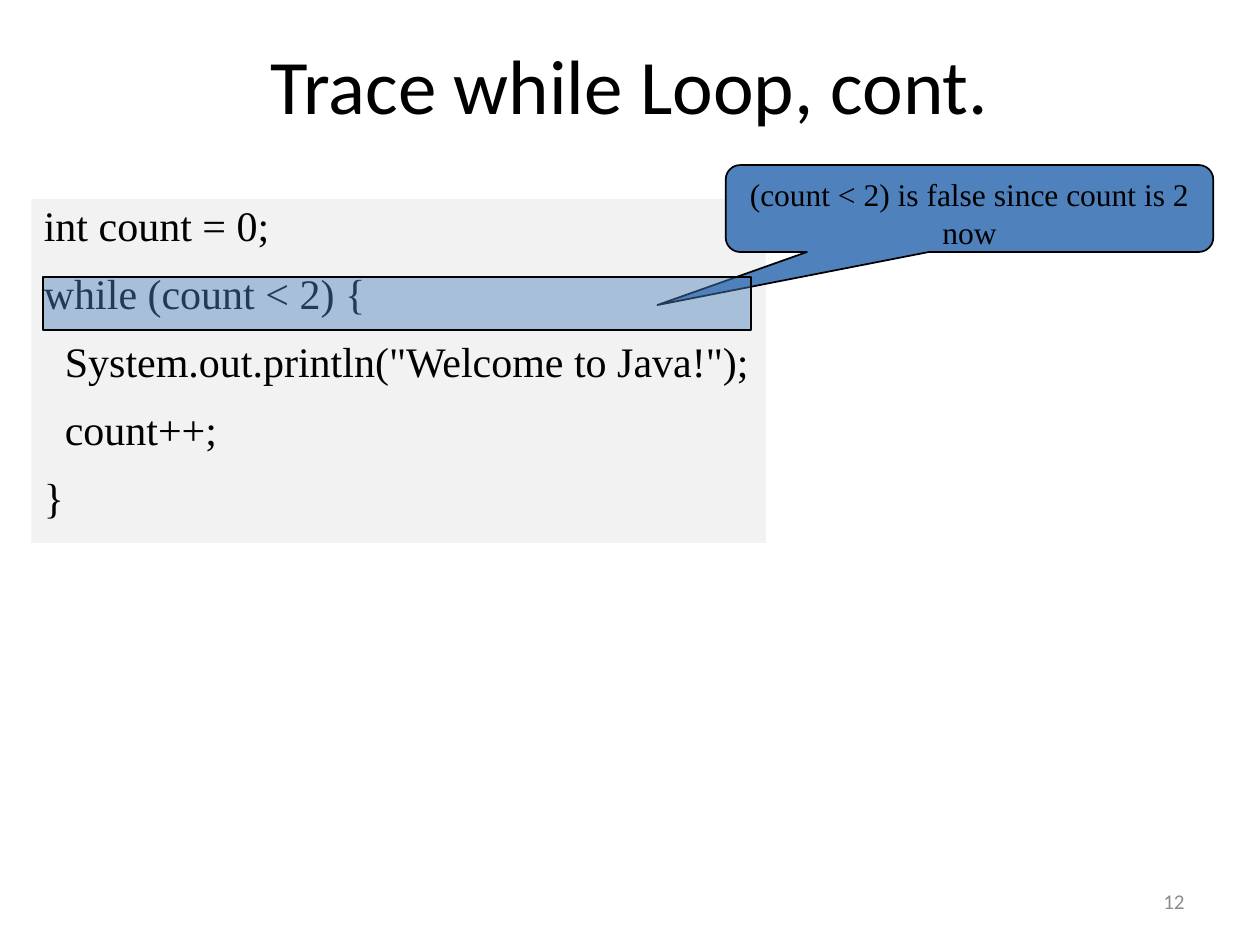
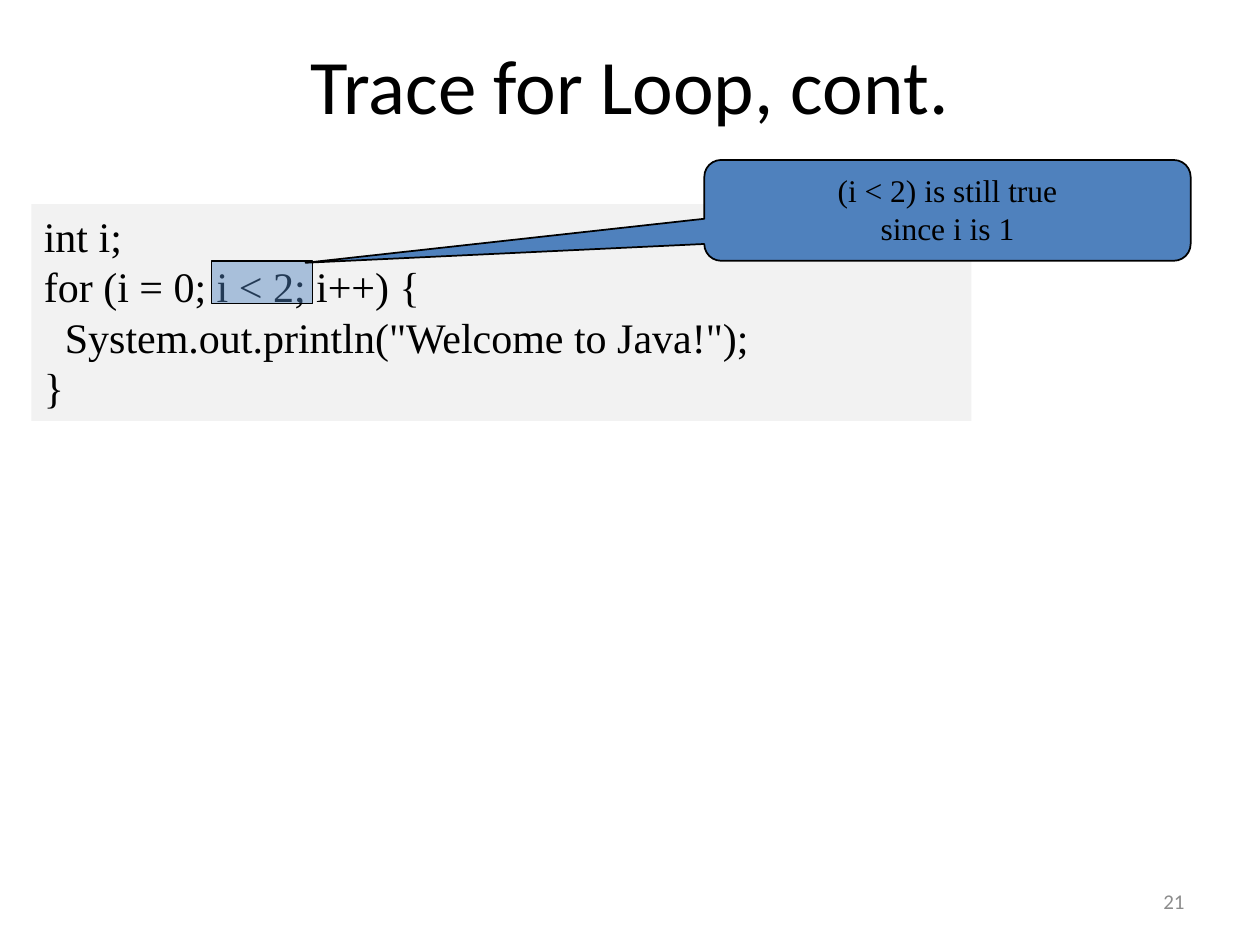
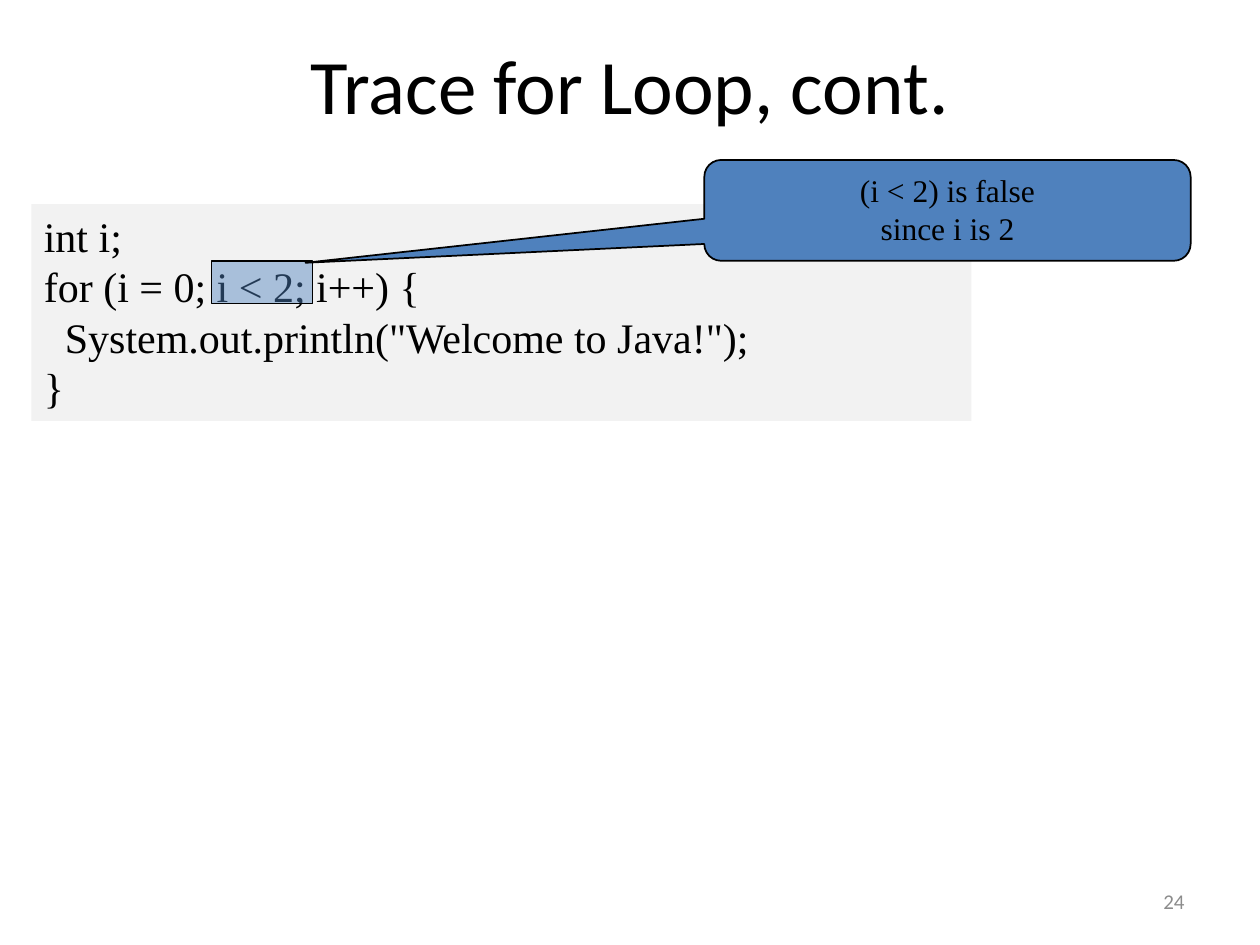
from lxml import etree
from pptx import Presentation
from pptx.dml.color import RGBColor
from pptx.enum.shapes import MSO_SHAPE
from pptx.enum.text import MSO_ANCHOR, PP_ALIGN
from pptx.oxml.ns import qn
from pptx.util import Inches, Pt

RECTANGLE = MSO_SHAPE.RECTANGLE
CALLOUT = MSO_SHAPE.ROUNDED_RECTANGULAR_CALLOUT
TOP, MIDDLE = MSO_ANCHOR.TOP, MSO_ANCHOR.MIDDLE
LEFT, CENTER, RIGHT = PP_ALIGN.LEFT, PP_ALIGN.CENTER, PP_ALIGN.RIGHT

COLORS = {"ink": "000000", "code": "F2F2F2", "accent": "4F81BD", "number": "8C8C8C"}
HEADING_FONT = "Calibri"
BODY_FONT = "Times New Roman"
TITLE_ONLY = 5

WHILE_CODE = [
    "int count = 0;",
    "while (count < 2) {",
    '  System.out.println("Welcome to Java!");',
    "  count++;",
    "}",
]
FOR_CODE = [
    "int i;",
    "for (i = 0; i < 2; i++) {",
    '  System.out.println("Welcome to Java!");',
    "}",
]


def color(name):
    return RGBColor.from_string(COLORS[name])


class TraceDeck:
    def __init__(self):
        self.presentation = Presentation()
        self.presentation.slide_width = Inches(10)
        self.presentation.slide_height = Inches(7.5)
        self.slide = None

    def set_text(self, shape, lines, font, size, ink, alignment, anchor):
        text_frame = shape.text_frame
        text_frame.text = "\n".join(lines)
        text_frame.word_wrap = True
        text_frame.vertical_anchor = anchor
        for paragraph in text_frame.paragraphs:
            paragraph.alignment = alignment
            for run in paragraph.runs:
                run.font.name = font
                run.font.size = Pt(size)
                run.font.color.rgb = color(ink)

    def add_slide(self, title, number):
        layout = self.presentation.slide_layouts[TITLE_ONLY]
        self.slide = self.presentation.slides.add_slide(layout)
        heading = self.slide.shapes.title
        heading.left, heading.top = Inches(0.75), Inches(0.25)
        heading.width, heading.height = Inches(8.5), Inches(0.83)
        self.set_text(heading, [title], HEADING_FONT, 44, "ink", CENTER, MIDDLE)
        footer = self.slide.shapes.add_textbox(
            Inches(7.17), Inches(6.95), Inches(2.33), Inches(0.4)
        )
        self.set_text(footer, [str(number)], HEADING_FONT, 12, "number", RIGHT, MIDDLE)

    def add_box(self, kind, bounds, fill, outlined):
        shape = self.slide.shapes.add_shape(kind, *map(Inches, bounds))
        shape.shadow.inherit = False
        shape.fill.solid()
        shape.fill.fore_color.rgb = color(fill)
        if outlined:
            shape.line.color.rgb = color("ink")
            shape.line.width = Pt(1)
        else:
            shape.line.fill.background()
        return shape

    def add_code(self, bounds, lines, line_spacing=1.0, gap=0):
        shape = self.add_box(RECTANGLE, bounds, "code", False)
        self.set_text(shape, lines, BODY_FONT, 24, "ink", LEFT, TOP)
        for index, paragraph in enumerate(shape.text_frame.paragraphs):
            paragraph.line_spacing = line_spacing
            paragraph.space_before = Pt(gap if index else 0)

    def add_highlight(self, bounds):
        shape = self.add_box(RECTANGLE, bounds, "accent", True)
        fill_color = shape.element.spPr.find(qn("a:solidFill"))[0]
        etree.SubElement(fill_color, qn("a:alpha")).set("val", "45000")

    def add_callout(self, bounds, pointer, lines):
        shape = self.add_box(CALLOUT, bounds, "accent", True)
        shape.adjustments[0], shape.adjustments[1] = pointer
        self.set_text(shape, lines, BODY_FONT, 18, "ink", CENTER, TOP)


def add_while_slide(deck):
    deck.add_slide("Trace while Loop, cont.", 12)
    deck.add_code((0.25, 1.58, 5.83, 2.73), WHILE_CODE, 0.9, 13)
    deck.add_callout(
        (5.76, 1.31, 3.87, 0.69), (-0.64, 1.11),
        ["(count < 2) is false since count is 2 now"],
    )
    deck.add_highlight((0.34, 2.2, 5.62, 0.42))


def add_for_slide(deck, number, remark):
    deck.add_slide("Trace for Loop, cont.", number)
    deck.add_code((0.25, 1.62, 7.46, 1.72), FOR_CODE)
    deck.add_highlight((1.68, 2.07, 0.8, 0.34))
    deck.add_callout((5.59, 1.27, 3.86, 0.8), (-1.32, 0.52), remark)


def main():
    deck = TraceDeck()
    add_while_slide(deck)
    add_for_slide(deck, 21, ["(i < 2) is still true", "since i is 1"])
    add_for_slide(deck, 24, ["(i < 2) is false", "since i is 2"])
    deck.presentation.save("out.pptx")


if __name__ == "__main__":
    main()
